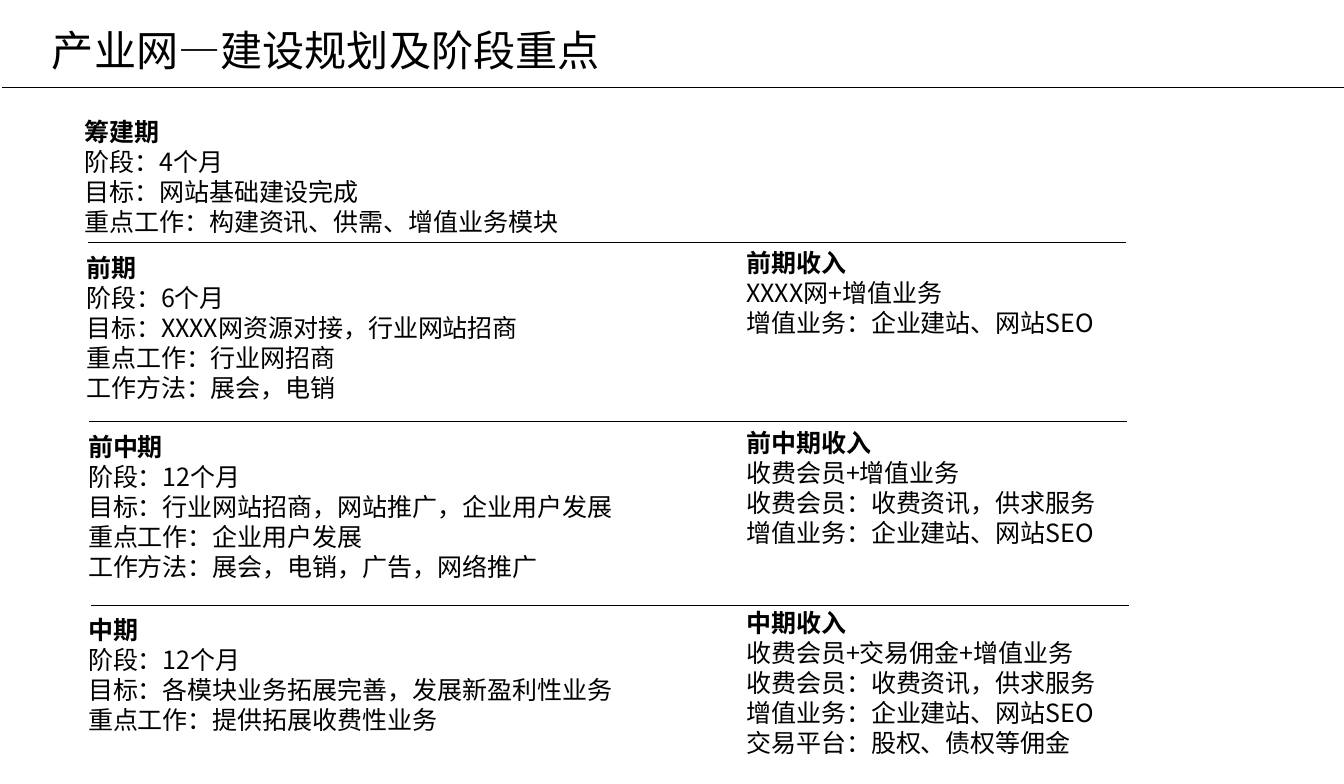
from dataclasses import dataclass

from lxml import etree
from pptx import Presentation
from pptx import util as u
from pptx.dml import color
from pptx.enum import shapes, text
from pptx.oxml import ns


@dataclass(frozen=True)
class Theme:
    ink: color.RGBColor = color.RGBColor(0, 0, 0)
    font: str = "Noto Sans CJK SC"
    title: float = 32
    title_line: float = 42
    body: float = 19
    body_line: float = 22.8
    rule: float = 0.75


THEME = Theme()

STAGES = [
    (2.01, 3.0, 5.08, [
        "筹建期",
        "阶段：4个月",
        "目标：网站基础建设完成",
        "重点工作：构建资讯、供需、增值业务模块",
    ]),
    (2.06, 6.63, 5.08, [
        "前期",
        "阶段：6个月",
        "目标：XXXX网资源对接，行业网站招商",
        "重点工作：行业网招商",
        "工作方法：展会，电销",
    ]),
    (2.11, 11.43, 5.89, [
        "前中期",
        "阶段：12个月",
        "目标：行业网站招商，网站推广，企业用户发展",
        "重点工作：企业用户发展",
        "工作方法：展会，电销，广告，网络推广",
    ]),
    (2.11, 16.33, 4.29, [
        "中期",
        "阶段：12个月",
        "目标：各模块业务拓展完善，发展新盈利性业务",
        "重点工作：提供拓展收费性业务",
    ]),
]

MEMBER = "收费会员：收费资讯，供求服务"
EXTRA = "增值业务：企业建站、网站SEO"
INCOME = [
    (0, ["前期收入", "XXXX网+增值业务", EXTRA]),
    (3, ["前中期收入", "收费会员+增值业务", MEMBER, EXTRA]),
    (2, ["中期收入", "收费会员+交易佣金+增值业务", MEMBER, EXTRA,
         "交易平台：股权、债权等佣金"]),
]

RULES = [(2.36, 6.5), (2.39, 11.3), (2.44, 16.23)]
RULE_WIDTH = 27.81


def style(item, **values):
    for name, value in values.items():
        setattr(item, name, value)


def add_box(slide, left, top, width, height):
    box = slide.shapes.add_textbox(u.Cm(left), u.Cm(top), u.Cm(width), u.Cm(height))
    style(box.text_frame, word_wrap=True, auto_size=text.MSO_AUTO_SIZE.NONE,
          vertical_anchor=text.MSO_ANCHOR.TOP)
    return box.text_frame


def add_line(frame, words, size, pitch, bold=False, gap=0):
    first = frame.paragraphs[0]
    para = frame.add_paragraph() if first.runs else first
    style(para, line_spacing=u.Pt(pitch), space_before=u.Pt(gap))
    run = para.add_run()
    run.text = words
    style(run.font, size=u.Pt(size), bold=bold, name=THEME.font)
    run.font.color.rgb = THEME.ink
    east = etree.SubElement(run._r.get_or_add_rPr(), ns.qn("a:ea"))
    east.set("typeface", THEME.font)


def add_group(frame, lines, skip=0):
    for index, words in enumerate(lines):
        head = index == 0
        gap = skip * THEME.body_line if head else 0
        add_line(frame, words, THEME.body, THEME.body_line, head, gap)


def add_rule(slide, left, top, width):
    rule = slide.shapes.add_connector(
        shapes.MSO_CONNECTOR.STRAIGHT,
        u.Cm(left), u.Cm(top), u.Cm(left + width), u.Cm(top))
    rule.line.width = u.Pt(THEME.rule)
    rule.line.color.rgb = THEME.ink
    etree.SubElement(rule._element.spPr, ns.qn("a:effectLst"))


def main():
    deck = Presentation()
    style(deck, slide_width=u.Cm(36), slide_height=u.Cm(21))
    slide = deck.slides.add_slide(deck.slide_layouts[6])

    for left, top, height, lines in STAGES:
        add_group(add_box(slide, left, top, 18.72, height), lines)

    income = add_box(slide, 19.74, 6.5, 14.58, 14.5)
    for skip, lines in INCOME:
        add_group(income, lines, skip)

    title = add_box(slide, 1.14, 0.41, 27.97, 1.63)
    add_line(title, "产业网—建设规划及阶段重点", THEME.title, THEME.title_line)

    add_rule(slide, 0.05, 2.34, 35.95)
    for left, top in RULES:
        add_rule(slide, left, top, RULE_WIDTH)

    deck.save("out.pptx")


if __name__ == "__main__":
    main()
